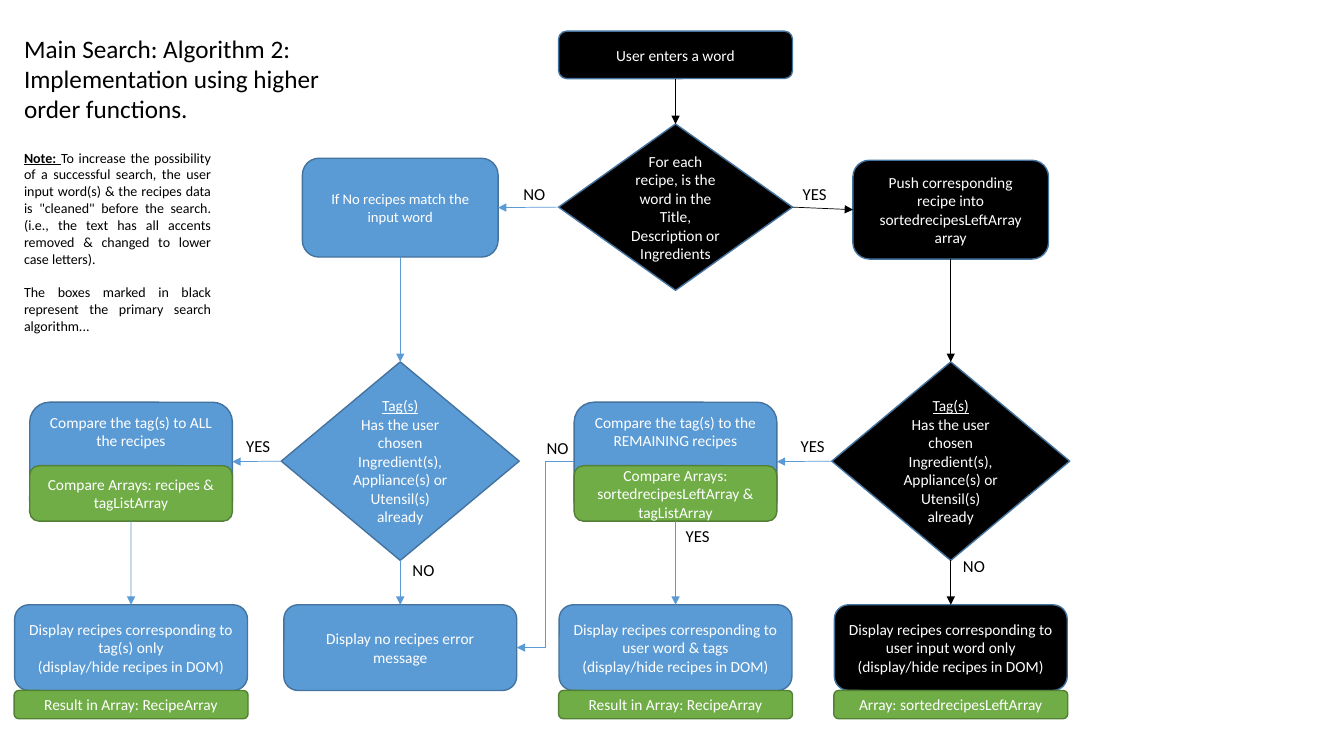
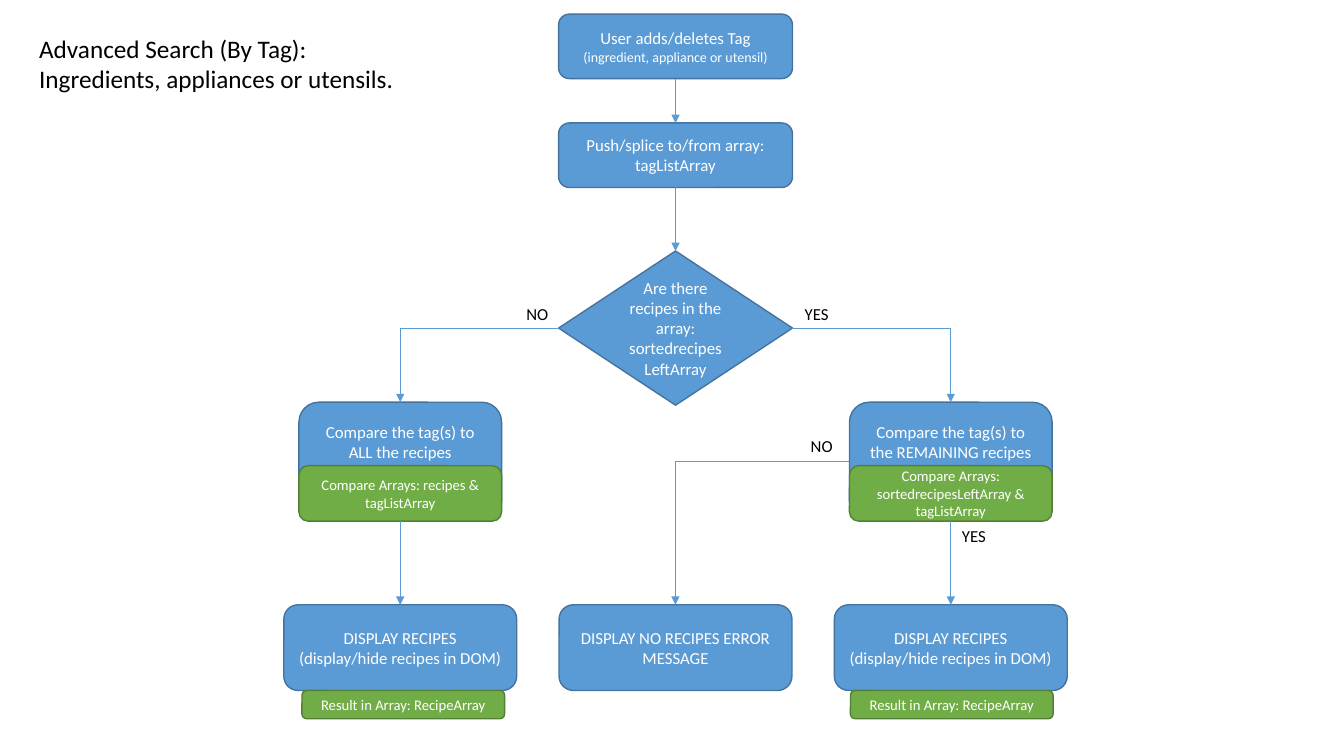
from pptx import Presentation
from pptx.dml.color import RGBColor
from pptx.enum.shapes import MSO_CONNECTOR as LINE, MSO_SHAPE as SHAPE
from pptx.enum.text import MSO_ANCHOR as ANCHOR, PP_ALIGN as ALIGN
from pptx.oxml.ns import qn
from pptx.util import Inches, Pt
from lxml.etree import SubElement

COLORS = {"black": "000000", "white": "FFFFFF", "blue": "5B9BD5",
          "blue_edge": "43739E", "green": "70AD47", "green_edge": "538035"}
FONT = "Calibri"
COL1, COL2, COL3, COL4 = 1.3, 3.97, 6.7, 9.43  # column centres
TOP, LEFT, BOTTOM, RIGHT = range(4)            # connection sites
COMPARE_TOP, DISPLAY_TOP, RESULT_TOP = 3.99, 6, 6.85


def rgb(name):
    return RGBColor.from_string(COLORS[name])


class Flowchart:
    """Holds the text style and the current slide."""

    def __init__(self, prs, size):
        self.s = prs.slides.add_slide(prs.slide_layouts[6])
        self.size = size

    def set_text(self, tf, text, size, color, align):
        tf.word_wrap = True
        for i, line in enumerate(text.split("\n")):
            p = tf.add_paragraph() if i else tf.paragraphs[0]
            p.text = line
            p.alignment = align
            p.font.name = FONT
            p.font.size = Pt(size)
            p.font.color.rgb = rgb(color)

    def text(self, text, x, y, w, h, size=12, align=ALIGN.LEFT):
        sp = self.s.shapes.add_textbox(Inches(x), Inches(y), Inches(w), Inches(h))
        self.set_text(sp.text_frame, text, size, "black", align)
        return sp

    def label(self, text, x, y):
        self.text(text, x, y, 0.46, 0.3, align=ALIGN.CENTER)

    def box(self, text, center, y, w, h, fill="blue", size=None,
            kind=SHAPE.ROUNDED_RECTANGLE):
        sp = self.s.shapes.add_shape(kind, Inches(center - w / 2), Inches(y),
                                     Inches(w), Inches(h))
        sp.shadow.inherit = False
        sp.fill.solid()
        sp.fill.fore_color.rgb = rgb(fill)
        sp.line.color.rgb = rgb("green_edge" if fill == "green" else "blue_edge")
        sp.line.width = Pt(1)
        sp.text_frame.vertical_anchor = ANCHOR.MIDDLE
        self.set_text(sp.text_frame, text, size or self.size, "white", ALIGN.CENTER)
        return sp

    def decision(self, text, center, y, w, h, fill="blue"):
        return self.box(text, center, y, w, h, fill, kind=SHAPE.DIAMOND)

    def tag_decision(self, center, fill="blue"):
        sp = self.decision("Tag(s)\nHas the user chosen\nIngredient(s), Appliance(s) "
                           "or Utensil(s) already", center, 3.59, 2.36, 1.97, fill)
        sp.text_frame.paragraphs[0].font.underline = True
        return sp

    def compare(self, text, arrays, center, inset, size):
        """Blue step whose lower half is covered by a green array box."""
        sp = self.box(text, center, COMPARE_TOP, 2.01, 1.18)
        sp.text_frame.margin_bottom = Inches(inset)
        self.box(f"Compare Arrays: {arrays} &\ntagListArray", center, 4.62,
                 2.01, 0.55, "green", size)
        return sp

    def display(self, text, center, fill="blue"):
        return self.box(text, center, DISPLAY_TOP, 2.31, 0.85, fill)

    def result(self, text, center, w, size):
        self.box(text, center, RESULT_TOP, w, 0.28, "green", size)

    def arrow(self, start, site1, end, site2, color="blue", bends=0):
        kind = LINE.ELBOW if bends else LINE.STRAIGHT
        c = self.s.shapes.add_connector(kind, 0, 0, 0, 0)
        c.begin_connect(start, site1)
        c.end_connect(end, site2)
        c.line.color.rgb = rgb(color)
        c.line.width = Pt(0.5)
        spPr = c._element.spPr
        if bends == 1:
            spPr.find(qn("a:prstGeom")).set("prst", "bentConnector2")
        SubElement(spPr.find(qn("a:ln")), qn("a:tailEnd"), type="triangle")
        SubElement(spPr, qn("a:effectLst"))


def main_search(prs):
    f = Flowchart(prs, 11)

    # Title and note
    f.text("Main Search: Algorithm 2:\nImplementation using higher order functions.",
           0.14, 0.28, 3.32, 1.01, 18)
    note = f.text(
        "\nThe boxes marked in black represent the primary search algorithm...",
        0.14, 1.43, 2.05, 2.12, 10, ALIGN.JUSTIFY)
    first, second = note.text_frame.paragraphs
    r = first.add_run()
    r.text = "Note: "
    r.font.bold = r.font.underline = True
    first.add_run().text = (
        "To increase the possibility of a successful search, the user input word(s) "
        "& the recipes data is \"cleaned\" before the search. (i.e., the text has all "
        "accents removed & changed to lower case letters).")
    second.space_before = Pt(12)

    # Word search
    enter = f.box("User enters a word", COL3, 0.31, 2.32, 0.47, "black")
    match = f.decision("For each recipe, is the word in the Title, Description or "
                       "Ingredients", COL3, 1.23, 2.32, 1.65, "black")
    push = f.box("Push corresponding recipe into sortedrecipesLeftArray\narray",
                 COL4, 1.59, 1.94, 0.98, "black")
    no_match = f.box("If No recipes match the input word", COL2, 1.57, 1.94, 0.98,
                     size=10.5)

    # Tag search
    tags_all = f.tag_decision(COL2)
    tags_left = f.tag_decision(COL4, "black")
    compare_all = f.compare("Compare the tag(s) to ALL the recipes", "recipes",
                            COL1, 0.65, 11)
    compare_left = f.compare("Compare the tag(s) to the REMAINING recipes",
                             "sortedrecipesLeftArray", COL3, 0.65, 11)

    # Outcomes
    shown = "Display recipes corresponding to {}\n(display/hide recipes in DOM)"
    show_tags = f.display(shown.format("tag(s) only"), COL1)
    error = f.display("Display no recipes error message", COL2)
    show_both = f.display(shown.format("user word & tags"), COL3)
    show_word = f.display(shown.format("user input word only"), COL4, "black")
    for text, center in (("Result in Array: RecipeArray", COL1),
                         ("Result in Array: RecipeArray", COL3),
                         ("Array: sortedrecipesLeftArray", COL4)):
        f.result(text, center, 2.32, 11)

    # Arrows
    for start, end in ((enter, match), (push, tags_left), (tags_left, show_word)):
        f.arrow(start, BOTTOM, end, TOP, "black")
    f.arrow(match, RIGHT, push, LEFT, "black")
    for start, end in ((no_match, tags_all), (tags_all, error),
                       (compare_all, show_tags), (compare_left, show_both)):
        f.arrow(start, BOTTOM, end, TOP)
    for start, end in ((match, no_match), (tags_all, compare_all),
                       (tags_left, compare_left)):
        f.arrow(start, LEFT, end, RIGHT)
    f.arrow(compare_left, LEFT, error, RIGHT, bends=2)

    # Answers
    for text, x, y in (("NO", 5.07, 1.77), ("YES", 7.85, 1.77), ("YES", 2.33, 4.27),
                       ("NO", 5.3, 4.29), ("YES", 7.83, 4.27), ("NO", 3.97, 5.5),
                       ("YES", 6.69, 5.17), ("NO", 9.43, 5.46)):
        f.label(text, x, y)


def advanced_search(prs):
    f = Flowchart(prs, 12)

    # Title
    f.text("Advanced Search (By Tag):\nIngredients, appliances or utensils.",
           0.29, 0.28, 3.92, 0.71, 18)

    # Tag input
    edit = f.box("User adds/deletes Tag\n(ingredient, appliance or utensil)",
                 COL3, 0.14, 2.32, 0.64)
    edit.text_frame.paragraphs[1].font.size = Pt(10)
    push = f.box("Push/splice to/from array: tagListArray", COL3, 1.22, 2.32, 0.64)
    check = f.decision("Are there recipes in the array: sortedrecipesLeftArray",
                       COL3, 2.49, 2.32, 1.53)

    # Comparison
    compare_all = f.compare("Compare the tag(s) to ALL the recipes", "recipes",
                            COL2, 0.45, 10.5)
    compare_left = f.compare("Compare the tag(s) to the REMAINING recipes",
                             "sortedrecipesLeftArray", COL4, 0.45, 10.5)

    # Outcomes
    shown = "DISPLAY RECIPES\n(display/hide recipes in DOM)"
    show_all = f.display(shown, COL2)
    error = f.display("DISPLAY NO RECIPES ERROR MESSAGE", COL3)
    show_left = f.display(shown, COL4)
    for center in (4, 9.44):
        f.result("Result in Array: RecipeArray", center, 2.01, 10.5)

    # Arrows
    for start, end in ((edit, push), (push, check), (compare_all, show_all),
                       (compare_left, show_left)):
        f.arrow(start, BOTTOM, end, TOP)
    for start, site, end in ((check, LEFT, compare_all), (check, RIGHT, compare_left),
                             (compare_left, LEFT, error)):
        f.arrow(start, site, end, TOP, bends=1)

    # Answers
    for text, x, y in (("NO", 5.1, 2.96), ("YES", 7.87, 2.96), ("NO", 7.92, 4.27),
                       ("YES", 9.43, 5.17)):
        f.label(text, x, y)


prs = Presentation()
prs.slide_width, prs.slide_height = Inches(13.33), Inches(7.5)
main_search(prs)
advanced_search(prs)
prs.save("out.pptx")
